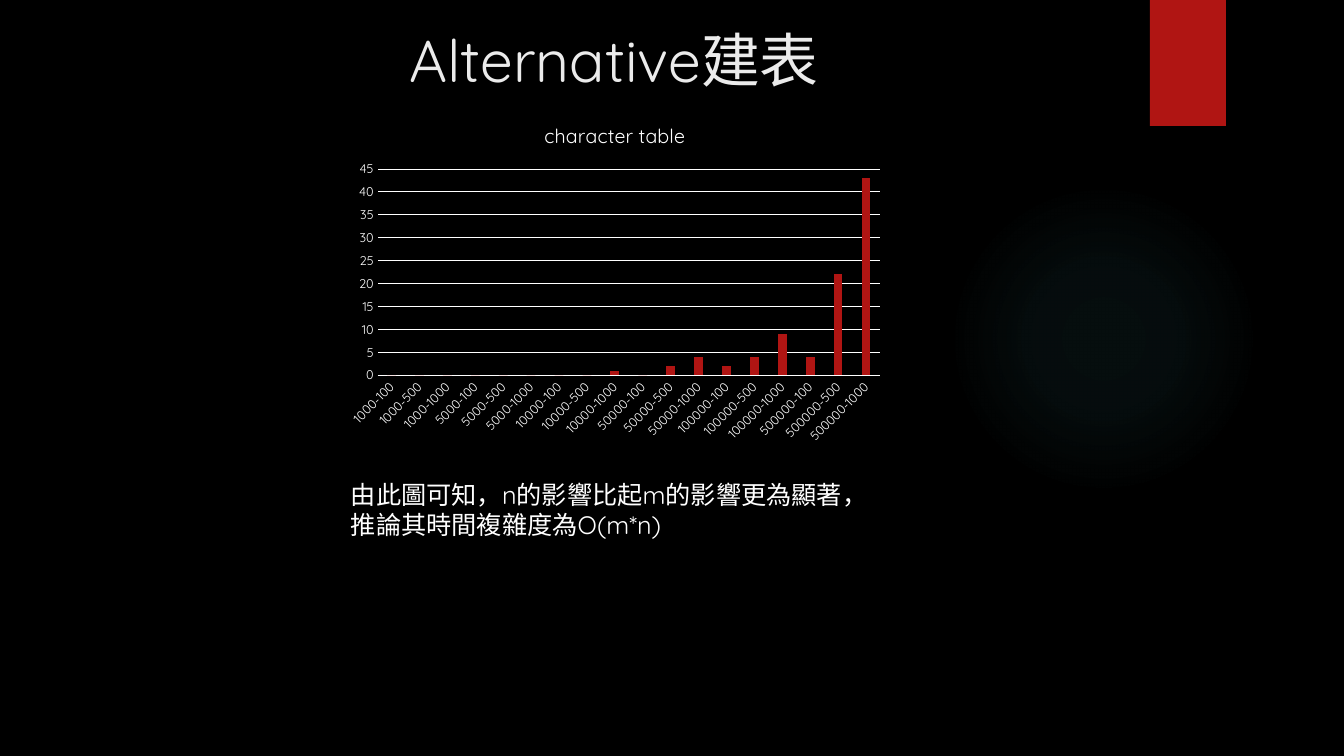
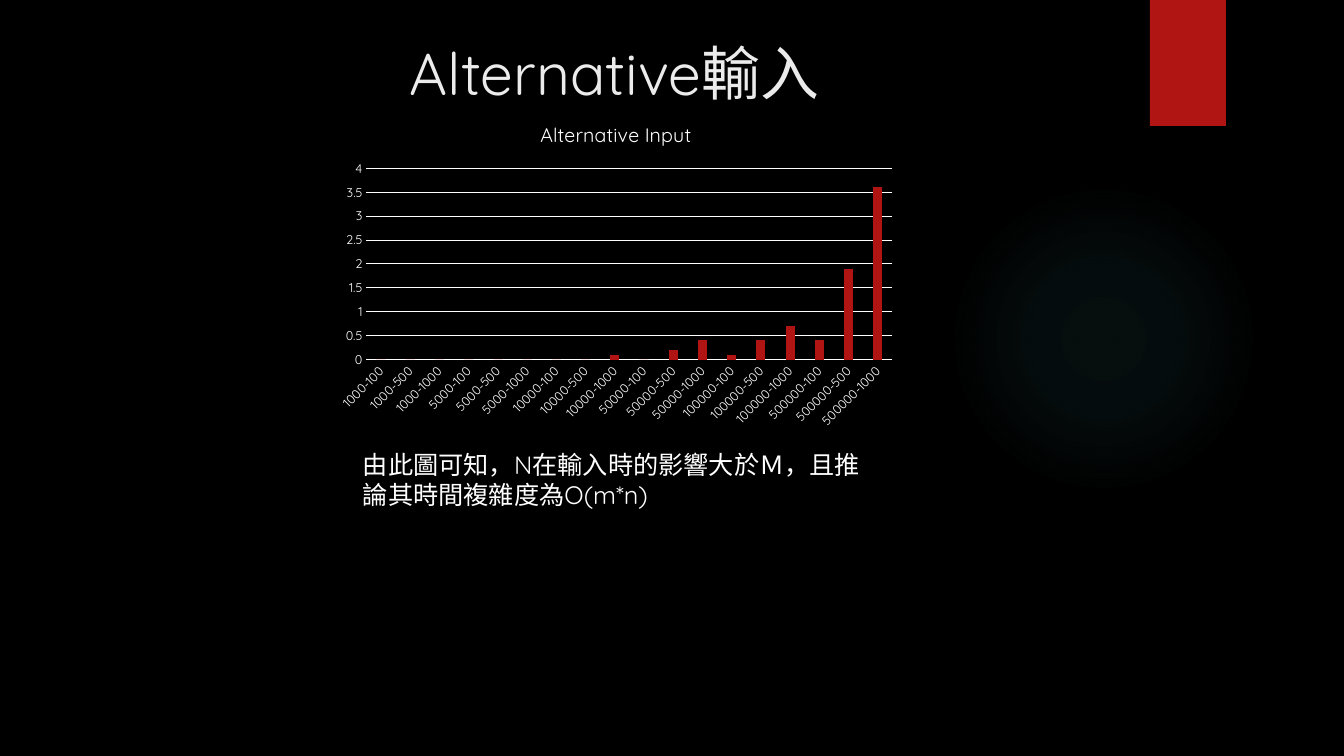
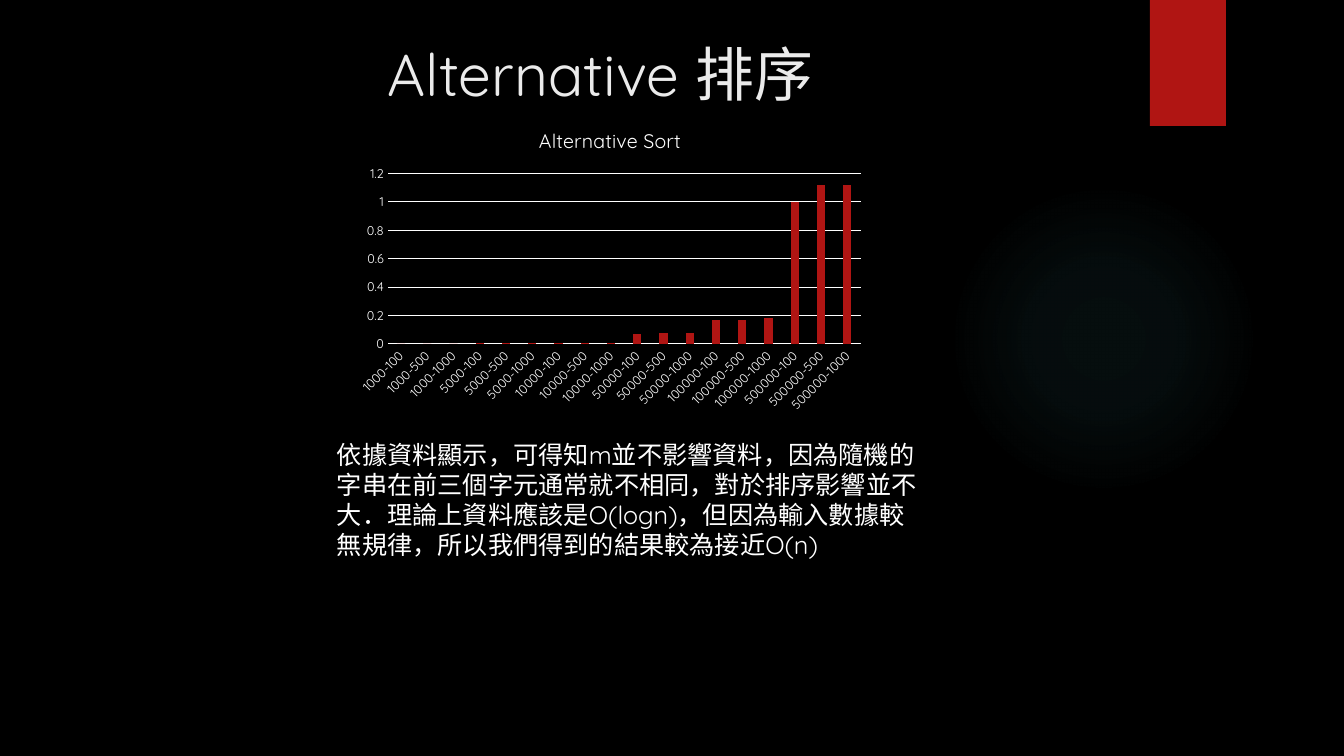
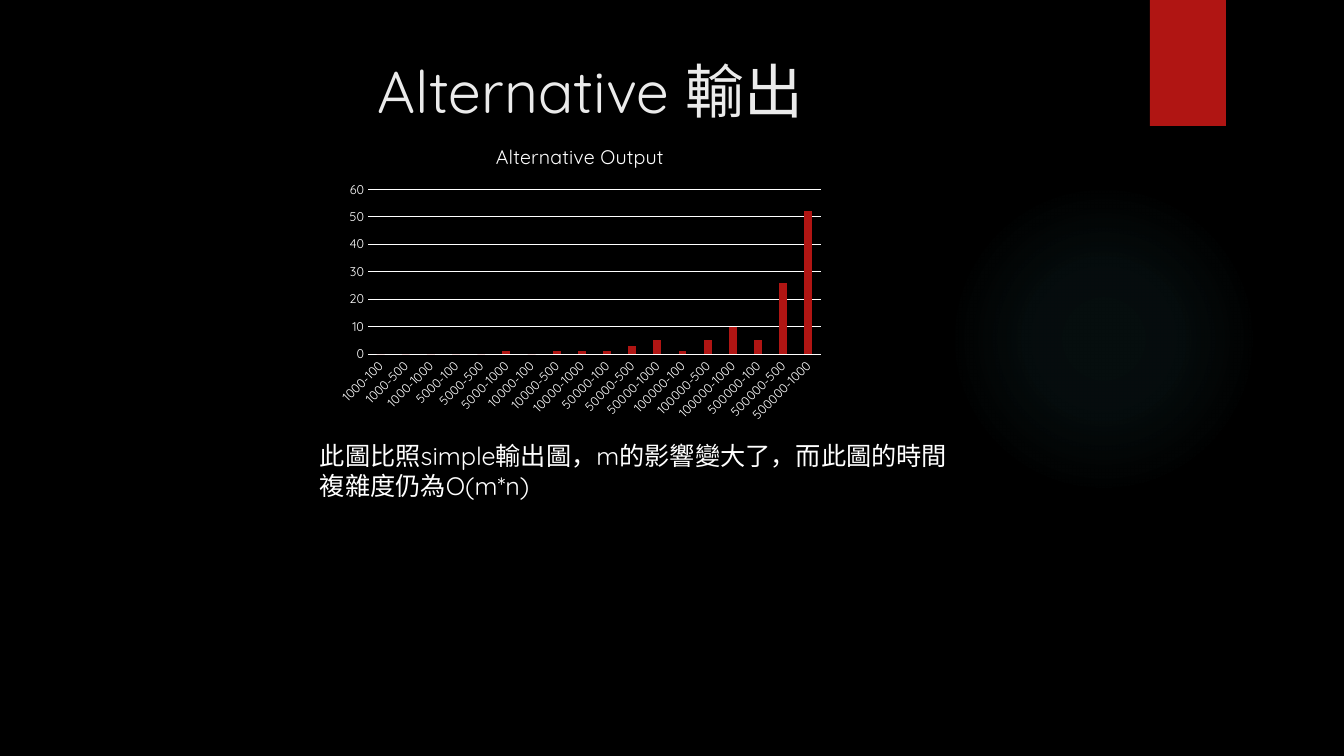
from lxml import etree
from pptx import Presentation
from pptx import util as u
from pptx.chart import data as chart_data
from pptx.dml.color import RGBColor
from pptx.enum import chart as charts, shapes, text
from pptx.oxml import ns

SCALE = 914400 / 100.8
FONT = "Quicksand"
COLORS = {
    "background": "000000",
    "accent": "B01513",
    "glow": "50B9C1",
    "title": "EBEBEB",
    "text": "FFFFFF",
}
GLOW_STOPS = [(0, 7), (36, 6), (69, 0)]
CATEGORIES = [
    f"{n}-{m}"
    for n in (1000, 5000, 10000, 50000, 100000, 500000)
    for m in (100, 500, 1000)
]


def px(value):
    """Turn pixels into EMU."""
    return u.Emu(round(value * SCALE))


def color(name):
    """Return a named colour of the palette."""
    return RGBColor.from_string(COLORS[name])


class Deck:
    """Holds the shared style and the current slide."""

    def __init__(self):
        """Start an empty widescreen presentation."""
        self.presentation = Presentation()
        self.presentation.slide_width = px(1344)
        self.presentation.slide_height = px(756)
        self.slide = None

    def add_slide(self):
        """Add a slide with the shared background, glow and bookmark."""
        self.slide = self.presentation.slides.add_slide(
            self.presentation.slide_layouts[6])
        fill = self.slide.background.fill
        fill.solid()
        fill.fore_color.rgb = color("background")
        self.glow(949, 184, 310)
        self.bookmark(1150, 0, 76, 126)

    def shape(self, kind, left, top, width, height):
        """Add a preset shape without line or shadow."""
        shape = self.slide.shapes.add_shape(
            kind, px(left), px(top), px(width), px(height))
        shape.shadow.inherit = False
        shape.line.fill.background()
        return shape

    def glow(self, left, top, size):
        """Add a circle that fades out from its centre."""
        shape = self.shape(shapes.MSO_SHAPE.OVAL, left, top, size, size)
        stops = "".join(
            f'<a:gs pos="{position * 1000}"><a:srgbClr val="{COLORS["glow"]}">'
            f'<a:alpha val="{alpha * 1000}"/></a:srgbClr></a:gs>'
            for position, alpha in GLOW_STOPS)
        gradient = etree.fromstring(
            f'<a:gradFill {ns.nsdecls("a")}><a:gsLst>{stops}</a:gsLst>'
            '<a:path path="circle"><a:fillToRect l="50000" t="50000" '
            'r="50000" b="50000"/></a:path></a:gradFill>')
        geometry = shape._element.spPr.find(ns.qn("a:prstGeom"))
        geometry.addnext(gradient)

    def bookmark(self, left, top, width, height):
        """Add the accent band at the top edge."""
        shape = self.shape(shapes.MSO_SHAPE.RECTANGLE, left, top, width, height)
        shape.fill.solid()
        shape.fill.fore_color.rgb = color("accent")

    def style_font(self, font, size, name="text"):
        """Apply the shared typeface with a size and a colour."""
        font.name = FONT
        font.size = u.Pt(size)
        font.bold = False
        font.color.rgb = color(name)

    def text_box(self, box, lines, size, name, alignment):
        """Add a wrapping text box with one paragraph per line."""
        frame = self.slide.shapes.add_textbox(*map(px, box)).text_frame
        frame.word_wrap = True
        frame.text = "\n".join(lines)
        for paragraph in frame.paragraphs:
            paragraph.alignment = alignment
            self.style_font(paragraph.font, size, name)

    def title(self, box, title):
        """Add the centred slide title."""
        self.text_box(box, [title], 42, "title", text.PP_ALIGN.CENTER)

    def body(self, box, lines):
        """Add the conclusion below the chart."""
        self.text_box(box, lines, 18, "text", text.PP_ALIGN.LEFT)

    def column_chart(self, box, title, series_name, values, maximum, step):
        """Add a column chart of the run times."""
        data = chart_data.CategoryChartData()
        data.categories = CATEGORIES
        data.add_series(series_name, values)
        chart = self.slide.shapes.add_chart(
            charts.XL_CHART_TYPE.COLUMN_CLUSTERED, *map(px, box), data).chart
        self.style_font(chart.font, 10)
        chart.has_legend = False
        chart.has_title = True
        frame = chart.chart_title.text_frame
        frame.text = title
        self.style_font(frame.paragraphs[0].font, 14)

        plot = chart.plots[0]
        plot.vary_by_categories = False
        plot.gap_width = 219
        plot.overlap = -27
        fill = plot.series[0].format.fill
        fill.solid()
        fill.fore_color.rgb = color("accent")

        category_axis, value_axis = chart.category_axis, chart.value_axis
        for axis in (category_axis, value_axis):
            axis.major_tick_mark = charts.XL_TICK_MARK.NONE
            axis.minor_tick_mark = charts.XL_TICK_MARK.NONE
            self.style_font(axis.tick_labels.font, 9)
        value_axis.minimum_scale = 0
        value_axis.maximum_scale = maximum
        value_axis.major_unit = step
        value_axis.has_major_gridlines = True
        value_axis.format.line.fill.background()
        for line in (category_axis.format.line,
                     value_axis.major_gridlines.format.line):
            line.color.rgb = color("text")
            line.width = u.Pt(0.75)
        label_body = category_axis._element.find(
            f'{ns.qn("c:txPr")}/{ns.qn("a:bodyPr")}')
        label_body.set("rot", "-2700000")


deck = Deck()

deck.add_slide()
deck.title((286, 19, 656, 121), "Alternative建表")
deck.column_chart(
    (339, 105, 552, 346), "character table", "character table",
    [0, 0, 0, 0, 0, 0, 0, 0, 1, 0, 2, 4, 2, 4, 9, 4, 22, 43], 45, 5)
deck.body((341, 474, 535, 72),
          ["由此圖可知，n的影響比起m的影響更為顯著，", "推論其時間複雜度為O(m*n)"])

deck.add_slide()
deck.title((138, 32, 953, 98), "Alternative輸入")
deck.column_chart(
    (328, 105, 576, 330), "Alternative Input", "Series 1",
    [0, 0, 0, 0, 0, 0, 0, 0, 0.1, 0, 0.2, 0.4, 0.1, 0.4, 0.7, 0.4, 1.9, 3.6],
    4, 0.5)
deck.body((353, 444, 532, 102),
          ["由此圖可知，N在輸入時的影響大於Ｍ，且推論其時間複雜度為O(m*n)"])

deck.add_slide()
deck.title((82, 33, 1037, 154), "Alternative 排序")
deck.column_chart(
    (349, 111, 522, 308), "Alternative Sort", "Series 1",
    [0, 0, 0, 0.01, 0.01, 0.01, 0.01, 0.01, 0.01,
     0.07, 0.08, 0.08, 0.17, 0.17, 0.18, 1, 1.12, 1.12], 1.2, 0.2)
deck.body((327, 434, 601, 163),
          ["依據資料顯示，可得知m並不影響資料，因為隨機的字串在前三個字元通常就不相同，"
           "對於排序影響並不大．理論上資料應該是O(logn)，但因為輸入數據較無規律，"
           "所以我們得到的結果較為接近O(n)"])

deck.add_slide()
deck.title((72, 50, 1037, 154), "Alternative 輸出")
deck.column_chart(
    (329, 127, 502, 302), "Alternative Output", "Series 1",
    [0, 0, 0, 0, 0, 1, 0, 1, 1, 1, 3, 5, 1, 5, 10, 5, 26, 52], 60, 10)
deck.body((310, 435, 672, 72),
          ["此圖比照simple輸出圖，m的影響變大了，而此圖的時間複雜度仍為O(m*n)"])

deck.presentation.save("out.pptx")
